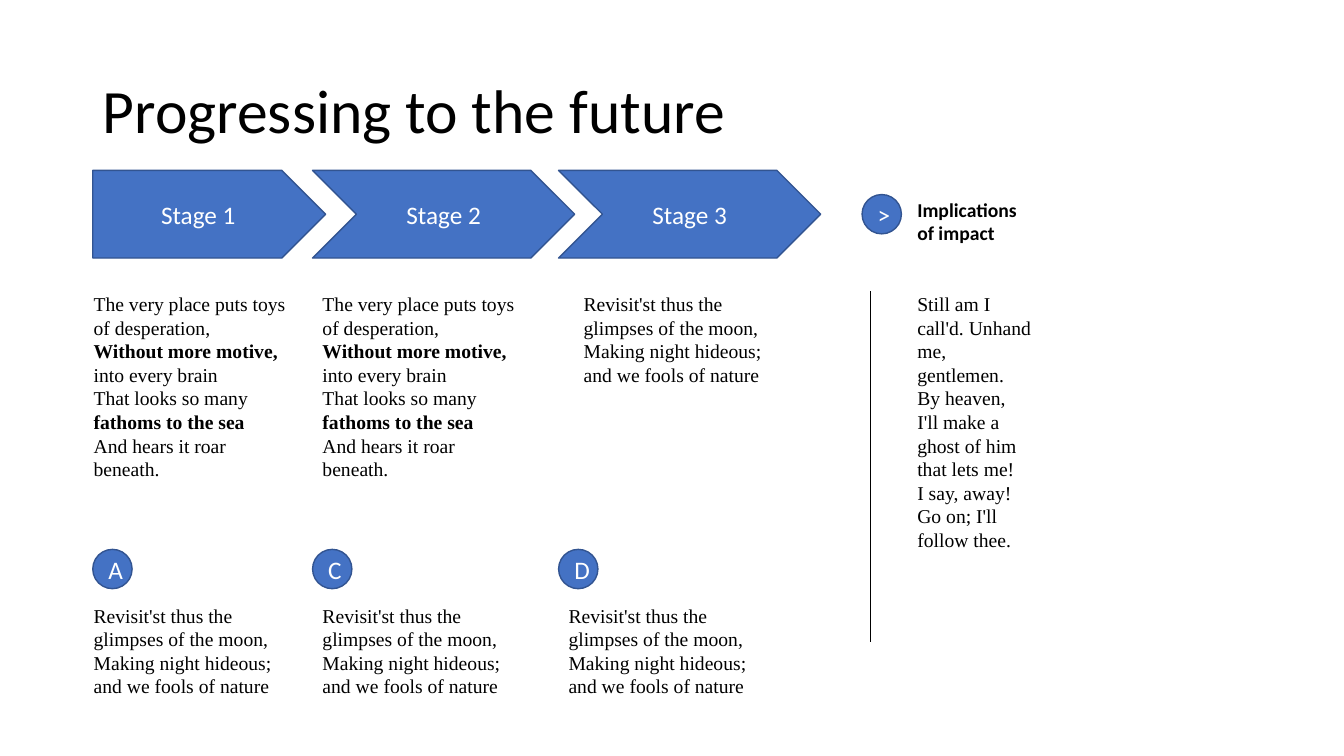
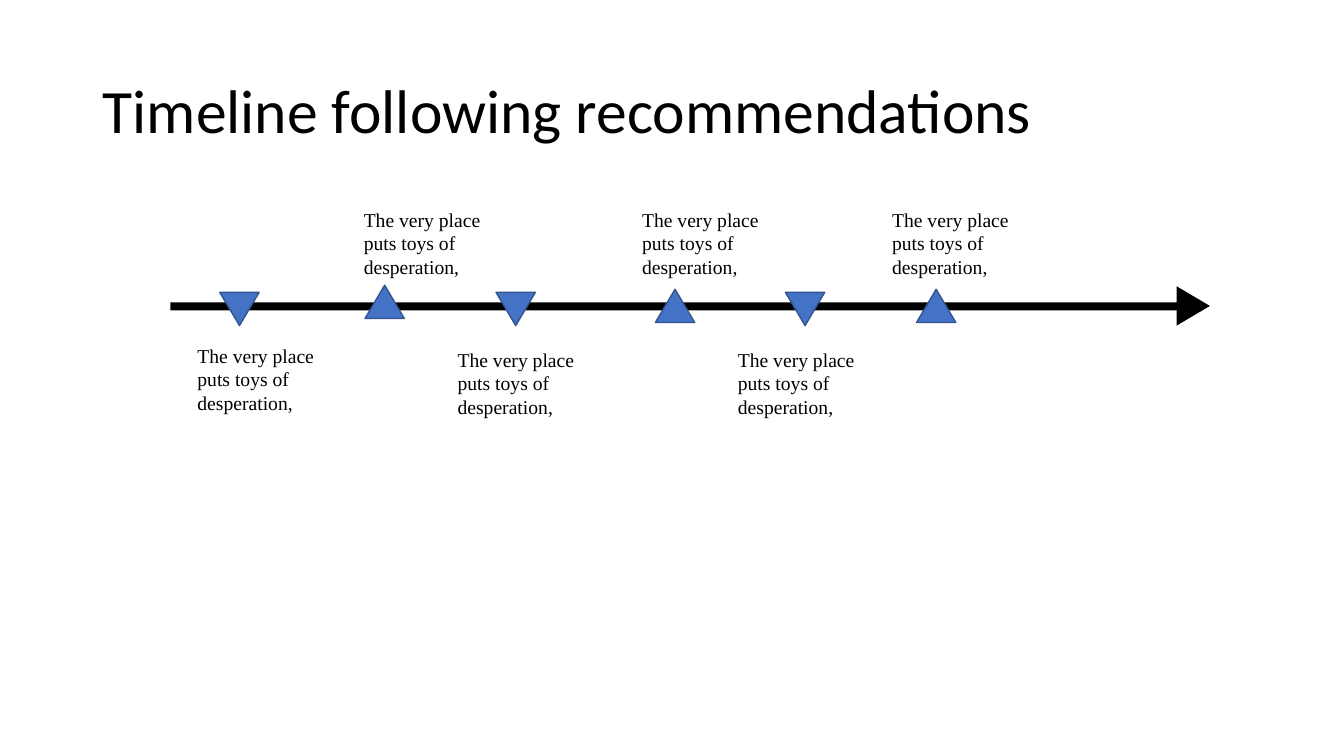
from copy import deepcopy

from lxml import etree
from pptx import Presentation
from pptx.dml.color import RGBColor
from pptx.enum.shapes import MSO_CONNECTOR, MSO_SHAPE
from pptx.enum.text import MSO_ANCHOR, MSO_AUTO_SIZE, PP_ALIGN
from pptx.oxml.ns import qn
from pptx.util import Inches, Pt

PENTAGON, CHEVRON = MSO_SHAPE.PENTAGON, MSO_SHAPE.CHEVRON
OVAL, TRIANGLE, RECT = MSO_SHAPE.OVAL, MSO_SHAPE.ISOSCELES_TRIANGLE, MSO_SHAPE.RECTANGLE
LEFT, CENTER = PP_ALIGN.LEFT, PP_ALIGN.CENTER
BLUE, EDGE, BLACK, WHITE = "4472C4", "325491", "000000", "FFFFFF"
SANS, SERIF = "Calibri", "Times New Roman"

TOYS = "The very place puts toys of desperation,"
MOON = "Revisit'st thus the glimpses of the moon,\nMaking night hideous; and we fools of nature"
MOTIVE = [
    (TOYS + "\n", False),
    ("Without more motive, ", True),
    ("into every brain\nThat looks so many ", False),
    ("fathoms to the sea\n", True),
    ("And hears it roar beneath.", False),
]
GHOST = ("Still am I call'd. Unhand me, gentlemen.\n"
         "By heaven, I'll make a ghost of him that lets me!\n"
         "I say, away! Go on; I'll follow thee.")

STAGES = [
    dict(name="Stage 1", kind=PENTAGON, x=0.92, width=2.31, body=MOTIVE,
         body_x=0.83, letter="A", note_x=0.83),
    dict(name="Stage 2", kind=CHEVRON, x=3.1, width=2.6, body=MOTIVE,
         body_x=3.1, letter="C", note_x=3.1),
    dict(name="Stage 3", kind=CHEVRON, x=5.54, width=2.6, body=MOON,
         body_x=5.69, letter="D", note_x=5.54),
]

# marker x, marker y, label x, label y, points down
MILESTONES = [
    (2.18, 2.9, 1.86, 3.36, True),
    (3.62, 2.83, 3.51, 2.01, False),
    (4.92, 2.9, 4.44, 3.4, True),
    (6.5, 2.87, 6.27, 2.01, False),
    (7.79, 2.9, 7.22, 3.4, True),
    (9.09, 2.87, 8.75, 2.01, False),
]
DOT = 0.39
MARKER_W, MARKER_H = 0.39, 0.33


def rgb(value):
    return RGBColor.from_string(value)


def write(tf, text, size=14, font=SERIF, color=BLACK, bold=False, align=LEFT, spacing=None):
    p = tf.paragraphs[0]
    p.alignment = align
    if spacing:
        p.line_spacing = spacing
    parts = [(text, bold)] if isinstance(text, str) else text
    for part, is_bold in parts:
        for i, line in enumerate(part.split("\n")):
            if i:
                p.add_line_break()
                p._p[-1].append(deepcopy(r._r.rPr))
            if line:
                r = p.add_run()
                r.text = line
                r.font.size, r.font.name, r.font.bold = Pt(size), font, is_bold
                r.font.color.rgb = rgb(color)


def add_slide(prs, title):
    s = prs.slides.add_slide(prs.slide_layouts[5])
    sp = s.shapes.title
    sp.left, sp.top, sp.width, sp.height = map(Inches, (0.92, 0.4, 11.5, 1.45))
    sp.text_frame.vertical_anchor = MSO_ANCHOR.MIDDLE
    sp.text_frame.auto_size = MSO_AUTO_SIZE.NONE
    write(sp.text_frame, title, size=44, font=SANS, spacing=0.9)
    return s


def add_text(s, text, x, y, w, h, **fmt):
    tf = s.shapes.add_textbox(*map(Inches, (x, y, w, h))).text_frame
    tf.word_wrap = True
    tf.auto_size = MSO_AUTO_SIZE.SHAPE_TO_FIT_TEXT
    write(tf, text, **fmt)


def add_shape(s, kind, x, y, w, h, text="", fill=BLUE, edge=EDGE, rotation=0):
    sp = s.shapes.add_shape(kind, *map(Inches, (x, y, w, h)))
    sp.shadow.inherit = False
    sp.rotation = rotation
    sp.fill.solid()
    sp.fill.fore_color.rgb = rgb(fill)
    if edge:
        sp.line.color.rgb = rgb(edge)
        sp.line.width = Pt(1)
    else:
        sp.line.fill.background()
    if text:
        sp.text_frame.vertical_anchor = MSO_ANCHOR.MIDDLE
        write(sp.text_frame, text, size=18, font=SANS, color=WHITE, align=CENTER)


def add_line(s, x1, y1, x2, y2):
    line = s.shapes.add_connector(MSO_CONNECTOR.STRAIGHT, *map(Inches, (x1, y1, x2, y2)))
    line.line.color.rgb = rgb(BLACK)
    line.line.width = Pt(0.5)
    etree.SubElement(line._element.spPr, qn("a:effectLst"))


def build_stages(prs):
    s = add_slide(prs, "Progressing to the future")
    for stage in STAGES:
        add_shape(s, stage["kind"], stage["x"], 1.69, stage["width"], 0.87, stage["name"])
        add_text(s, stage["body"], stage["body_x"], 2.85, 2.21,
                 1.04 if stage["body"] == MOON else 1.99)
        add_shape(s, OVAL, stage["x"], 5.45, DOT, DOT, stage["letter"])
        add_text(s, MOON, stage["note_x"], 5.94, 1.99, 1.04)
    add_shape(s, OVAL, 8.55, 1.93, DOT, DOT, ">")
    add_text(s, "Implications of impact", 9, 1.91, 1.33, 0.57, font=SANS, bold=True)
    add_line(s, 8.63, 2.89, 8.63, 6.37)
    add_text(s, GHOST, 9, 2.85, 1.33, 2.69)


def build_timeline(prs):
    s = add_slide(prs, "Timeline following recommendations")
    add_shape(s, RECT, 1.69, 3, 10.01, 0.08, fill=BLACK, edge=None)
    add_shape(s, TRIANGLE, 11.64, 2.87, MARKER_W, MARKER_H, fill=BLACK, edge=None, rotation=90)
    for x, y, label_x, label_y, down in MILESTONES:
        add_shape(s, TRIANGLE, x, y, MARKER_W, MARKER_H, rotation=180 if down else 0)
        add_text(s, TOYS, label_x, label_y, 1.53, 0.81)


def main():
    prs = Presentation()
    prs.slide_width, prs.slide_height = Inches(13.33), Inches(7.5)
    build_stages(prs)
    build_timeline(prs)
    prs.save("out.pptx")


if __name__ == "__main__":
    main()
